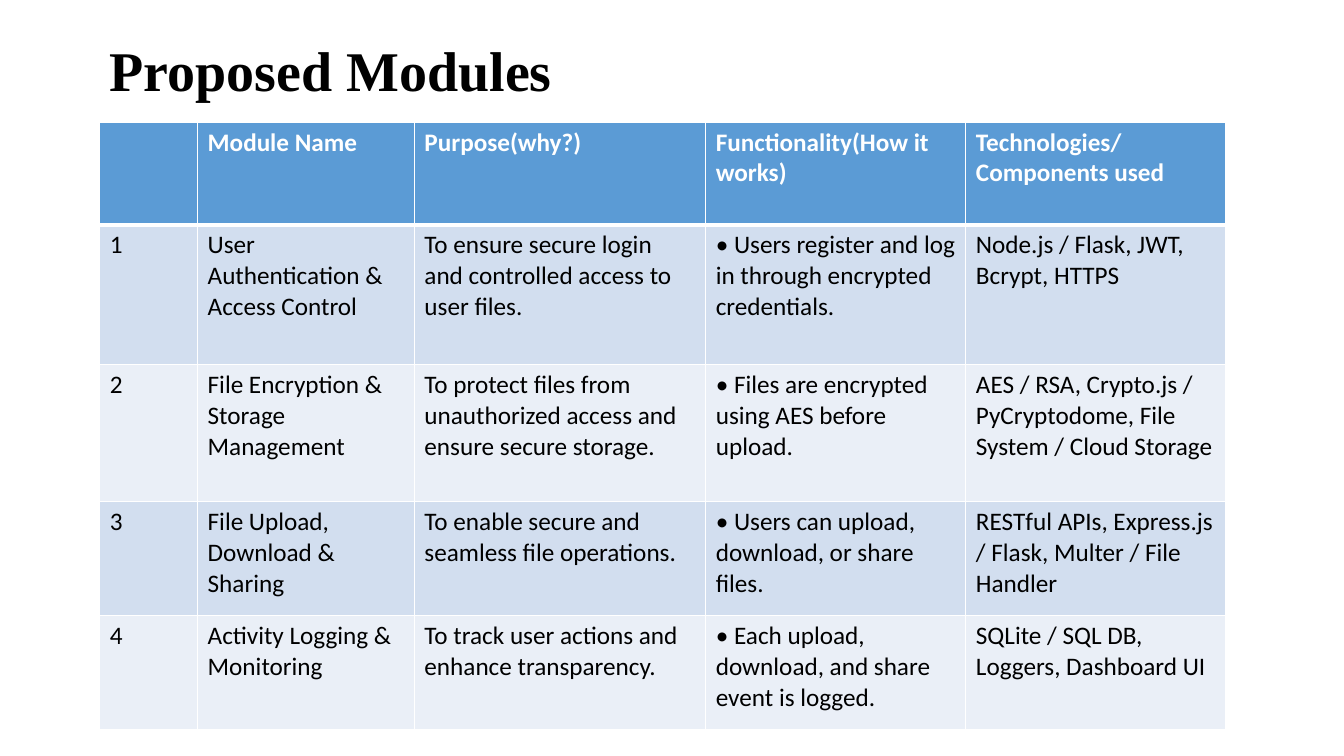
import pptx
import pptx.dml.color
import pptx.enum.text
import pptx.oxml
import pptx.oxml.ns
import pptx.util
from pptx.util import Inches

COLORS = {
    "ink": "000000",
    "white": "FFFFFF",
    "header": "5B9BD5",
    "odd_row": "D2DEEF",
    "even_row": "EAEFF7",
}

COLUMN_WIDTHS = [0.97, 2.15, 2.89, 2.58, 2.58]
ROW_HEIGHTS = [1.02, 1.39, 1.36, 1.13, 1.13]

HEADINGS = ["", "Module Name", "Purpose(why?)", "Functionality(How it works)",
            "Technologies/Components used"]
MODULES = [
    ["User Authentication & Access Control",
     "To ensure secure login and controlled access to user files.",
     "• Users register and log in through encrypted credentials.",
     "Node.js / Flask, JWT, Bcrypt, HTTPS"],
    ["File Encryption & Storage Management",
     "To protect files from unauthorized access and ensure secure storage.",
     "• Files are encrypted using AES before upload.",
     "AES / RSA, Crypto.js / PyCryptodome, File System / Cloud Storage"],
    ["File Upload, Download & Sharing",
     "To enable secure and seamless file operations.",
     "• Users can upload, download, or share files.",
     "RESTful APIs, Express.js / Flask, Multer / File Handler"],
    ["Activity Logging & Monitoring",
     "To track user actions and enhance transparency.",
     "• Each upload, download, and share event is logged.",
     "SQLite / SQL DB, Loggers, Dashboard UI"],
]


def rgb(color):
    return pptx.dml.color.RGBColor.from_string(COLORS[color])


class ModuleSlide:
    """Holds the text styles and the current slide."""

    styles = {
        "title": {"name": "Times New Roman", "size": pptx.util.Pt(40), "bold": True},
        "header": {"name": "Calibri", "size": pptx.util.Pt(18), "bold": True},
        "body": {"name": "Calibri", "size": pptx.util.Pt(18), "bold": False},
    }

    def __init__(self, presentation):
        self.slide = presentation.slides.add_slide(presentation.slide_layouts[6])

    def styled_text(self, paragraph, text, style, color):
        run = paragraph.add_run()
        run.text = text
        for attribute, value in self.styles[style].items():
            setattr(run.font, attribute, value)
        run.font.color.rgb = rgb(color)

    def title(self, text, left, top, width, height):
        box = self.slide.shapes.add_textbox(
            Inches(left), Inches(top), Inches(width), Inches(height))
        frame_format = {"word_wrap": True,
                        "vertical_anchor": pptx.enum.text.MSO_ANCHOR.MIDDLE}
        for attribute, value in frame_format.items():
            setattr(box.text_frame, attribute, value)
        heading = box.text_frame.paragraphs[0]
        heading.line_spacing = 0.9
        self.styled_text(heading, text, "title", "ink")

    def borders(self, cell, widths):
        properties = cell._tc.get_or_add_tcPr()
        for position, (side, points) in enumerate(widths.items()):
            properties.insert(position, pptx.oxml.parse_xml(
                f'<a:{side} {pptx.oxml.ns.nsdecls("a")} w="{pptx.util.Pt(points)}">'
                f'<a:solidFill><a:srgbClr val="{COLORS["white"]}"/></a:solidFill>'
                f'</a:{side}>'))

    def table(self, rows, left, top, widths, heights):
        grid = self.slide.shapes.add_table(
            len(rows), len(widths), Inches(left), Inches(top),
            Inches(sum(widths)), Inches(sum(heights))).table
        for column, width in zip(grid.columns, widths):
            column.width = Inches(width)
        for r, (row, height) in enumerate(zip(rows, heights)):
            grid.rows[r].height = Inches(height)
            fill = "header" if r == 0 else "odd_row" if r % 2 else "even_row"
            style, color = ("header", "white") if r == 0 else ("body", "ink")
            # The rule under the header is heavier than the others
            edges = {"lnL": 1, "lnR": 1, "lnT": 3 if r == 1 else 1,
                     "lnB": 3 if r == 0 else 1}
            for c, text in enumerate(row):
                cell = grid.cell(r, c)
                cell.fill.solid()
                cell.fill.fore_color.rgb = rgb(fill)
                self.borders(cell, edges)
                if text:
                    self.styled_text(cell.text_frame.paragraphs[0], text, style, color)


def main():
    presentation = pptx.Presentation()
    presentation.slide_width = Inches(13.33)
    presentation.slide_height = Inches(7.5)
    modules_slide = ModuleSlide(presentation)

    # Title
    modules_slide.title("Proposed Modules", 0.99, 0, 11.5, 1.45)

    # Numbered modules under the headings
    numbered = [[str(n), *module] for n, module in enumerate(MODULES, 1)]
    modules_slide.table([HEADINGS, *numbered], 0.99, 1.21,
                        COLUMN_WIDTHS, ROW_HEIGHTS)

    presentation.save("out.pptx")


if __name__ == "__main__":
    main()
